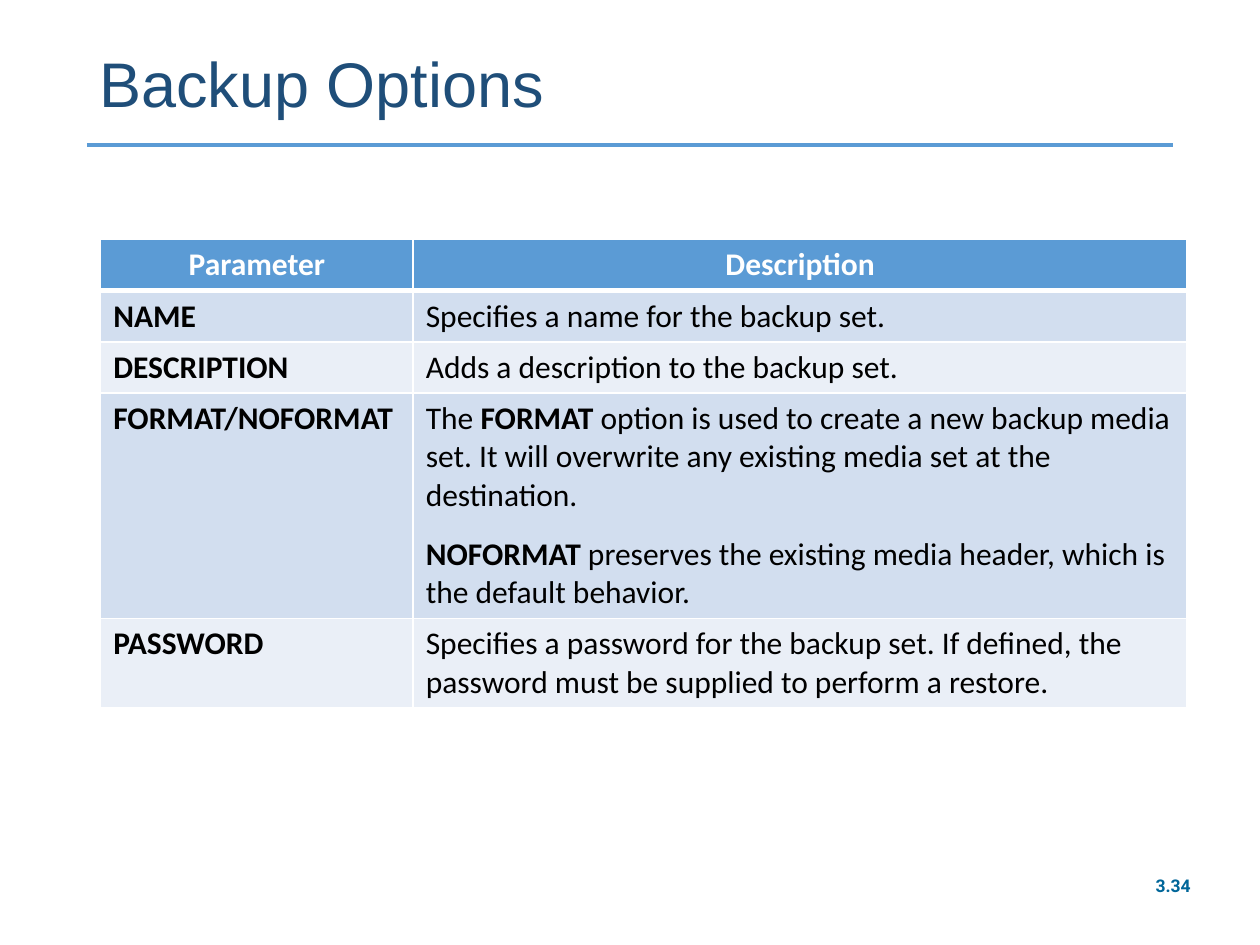
from lxml import etree
from pptx import Presentation
from pptx import util as u
from pptx.dml.color import RGBColor
from pptx.enum import shapes, text
from pptx.oxml.ns import qn

HEADINGS = ("Parameter", "Description")
OPTIONS = [
    ("NAME", ["Specifies a name for the backup set."]),
    ("DESCRIPTION", ["Adds a description to the backup set."]),
    ("FORMAT/NOFORMAT", [
        "The *FORMAT* option is used to create a new backup media set. "
        "It will overwrite any existing media set at the destination.",
        "*NOFORMAT* preserves the existing media header, which is the default behavior."]),
    ("PASSWORD", ["Specifies a password for the backup set. If defined, the "
                  "password must be supplied to perform a restore."]),
]
COLUMN_WIDTHS = (6.3, 15.6)
ROW_HEIGHTS = (1.03, 1.03, 1.03, 4.55, 1.8)


def colour(value):
    return RGBColor.from_string(value)


class SlideBuilder:
    """Hold the style and the current slide, and draw each kind of element."""

    accent, title_ink, number_ink = "5B9BD5", "1F4E79", "006699"
    white, black = "FFFFFF", "000000"
    bands = ("D2DEEF", "EAEFF7")

    def __init__(self, page):
        self.page = page

    def style(self, para, font, size, ink, bold=None, align=text.PP_ALIGN.LEFT):
        para.alignment = align
        para.font.name = font
        para.font.size = u.Pt(size)
        para.font.color.rgb = colour(ink)
        para.font.bold = bold

    def label(self, words, left, top, width, height, font, size, ink, **options):
        box = self.page.shapes.add_textbox(*map(u.Cm, (left, top, width, height)))
        frame = box.text_frame
        frame.word_wrap = True
        frame.vertical_anchor = text.MSO_ANCHOR.MIDDLE
        para = frame.paragraphs[0]
        para.text = words
        para.line_spacing = 0.9
        self.style(para, font, size, ink, **options)

    def rule(self, left, right, y):
        line = self.page.shapes.add_connector(
            shapes.MSO_CONNECTOR.STRAIGHT, *map(u.Cm, (left, y, right, y)))
        line.line.color.rgb = colour(self.accent)
        line.line.width = u.Pt(2.5)
        etree.SubElement(line._element.spPr, qn("a:effectLst"))

    def borders(self, cell, top, bottom):
        properties = cell._tc.get_or_add_tcPr()
        for place, (side, points) in enumerate(
                (("lnL", 1), ("lnR", 1), ("lnT", top), ("lnB", bottom))):
            edge = etree.Element(qn(f"a:{side}"), w=str(u.Pt(points)))
            fill = etree.SubElement(edge, qn("a:solidFill"))
            etree.SubElement(fill, qn("a:srgbClr"), val=self.white)
            properties.insert(place, edge)

    def fill_cell(self, cell, paragraphs, fill, ink, bold, align, top=1, bottom=1):
        cell.fill.solid()
        cell.fill.fore_color.rgb = colour(fill)
        self.borders(cell, top, bottom)
        frame = cell.text_frame
        for index, words in enumerate(paragraphs):
            para = frame.add_paragraph() if index else frame.paragraphs[0]
            if index:
                para.space_before = u.Pt(12)
            pieces = words.split("*")
            self.style(para, "Calibri", 18, ink, bold if len(pieces) == 1 else None, align)
            for number, piece in enumerate(pieces):
                if piece:
                    span = para.add_run()
                    span.text = piece
                    if len(pieces) > 1:
                        span.font.bold = number % 2 == 1

    def table(self, left, top, headings, rows):
        grid = self.page.shapes.add_table(
            len(rows) + 1, len(headings), u.Cm(left), u.Cm(top),
            u.Cm(sum(COLUMN_WIDTHS)), u.Cm(sum(ROW_HEIGHTS))).table
        for column, width in zip(grid.columns, COLUMN_WIDTHS):
            column.width = u.Cm(width)
        for row, height in zip(grid.rows, ROW_HEIGHTS):
            row.height = u.Cm(height)
        for index, heading in enumerate(headings):
            cell = grid.cell(0, index)
            cell.vertical_anchor = text.MSO_ANCHOR.MIDDLE
            self.fill_cell(cell, [heading], self.accent, self.white, True,
                           text.PP_ALIGN.CENTER, bottom=3)
        for index, (name, description) in enumerate(rows, 1):
            band = self.bands[(index - 1) % 2]
            top_edge = 3 if index == 1 else 1
            for column, words in enumerate(([name], description)):
                self.fill_cell(grid.cell(index, column), words, band, self.black,
                               column == 0, text.PP_ALIGN.LEFT, top=top_edge)


def main():
    deck = Presentation()
    deck.slide_width, deck.slide_height = u.Cm(25.4), u.Cm(19.05)
    builder = SlideBuilder(deck.slides.add_slide(deck.slide_layouts[6]))
    builder.label("3.34", 23, 17.53, 1.3, 0.69, "Roboto", 10, builder.number_ink,
                  bold=True, align=text.PP_ALIGN.CENTER)
    builder.rule(1.75, 23.65, 2.92)
    builder.label("Backup Options", 1.75, 0.71, 21.9, 2.08, "Arial", 36, builder.title_ink)
    builder.table(2.03, 4.83, HEADINGS, OPTIONS)
    deck.save("out.pptx")


if __name__ == "__main__":
    main()
